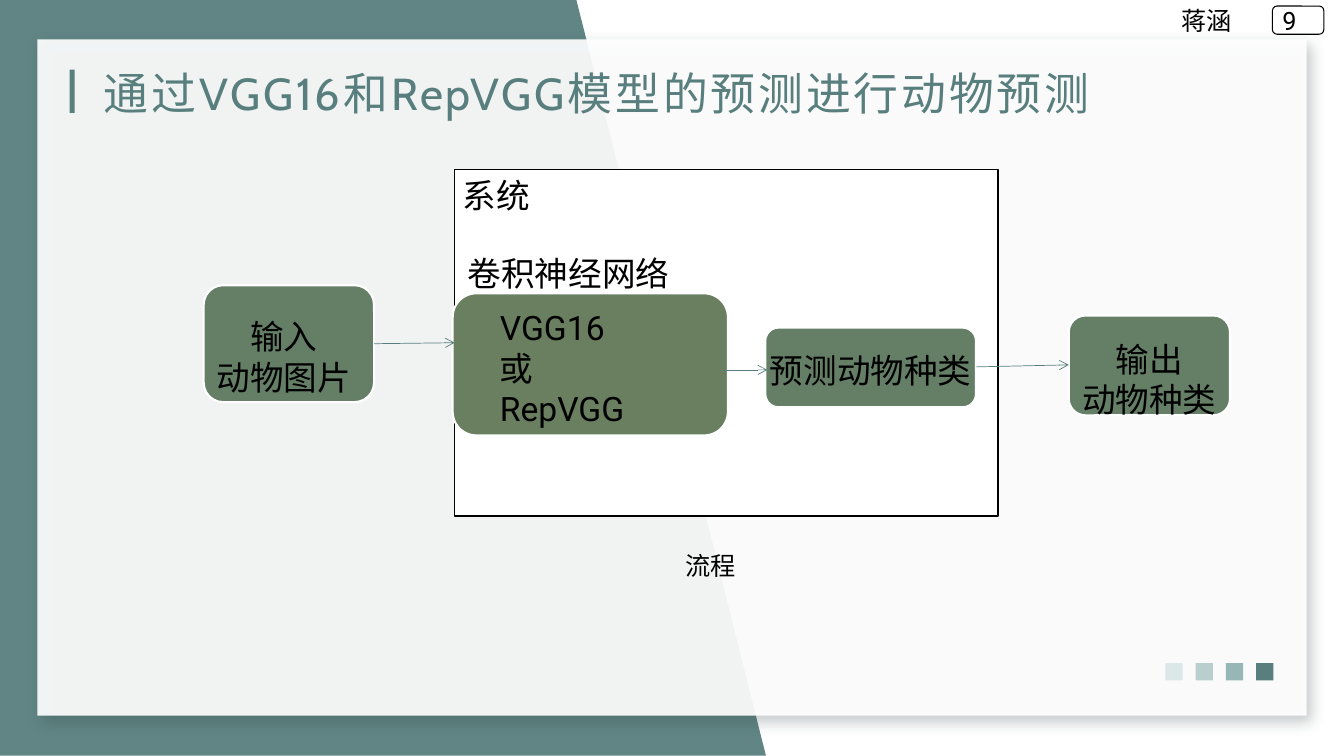
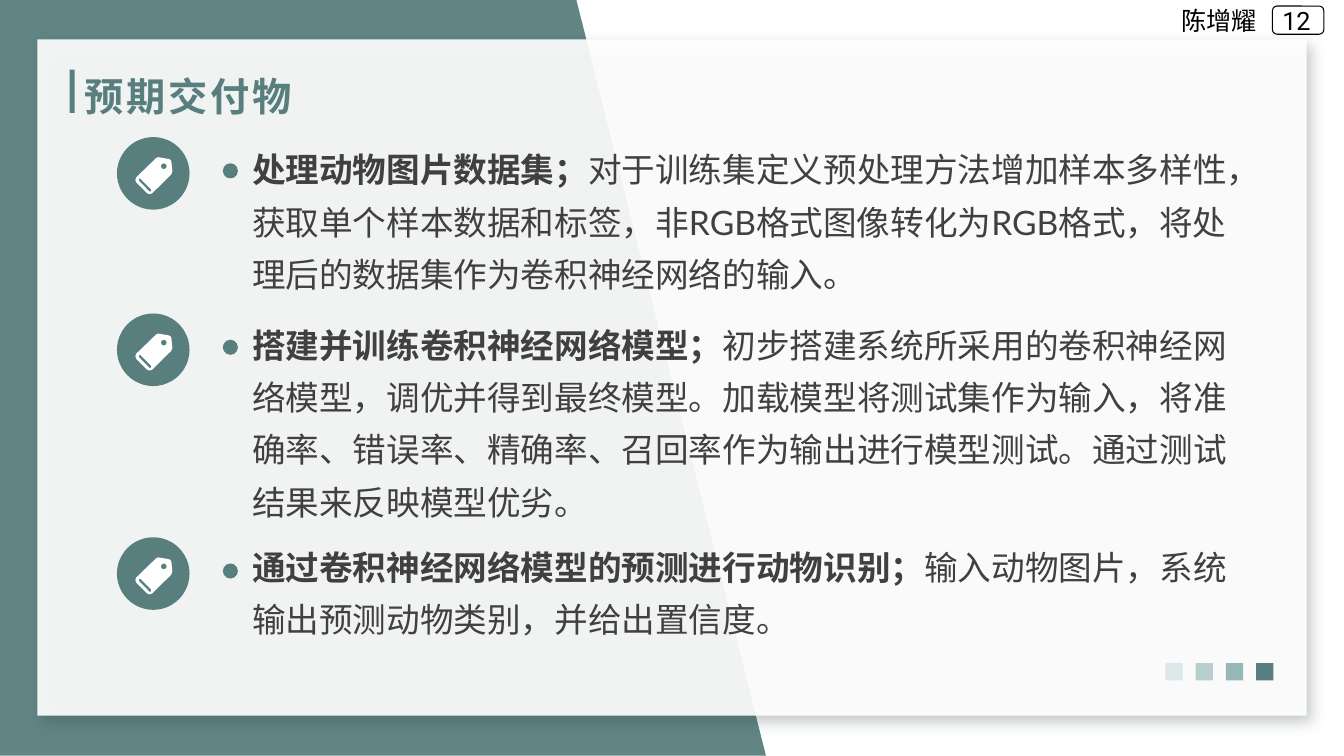
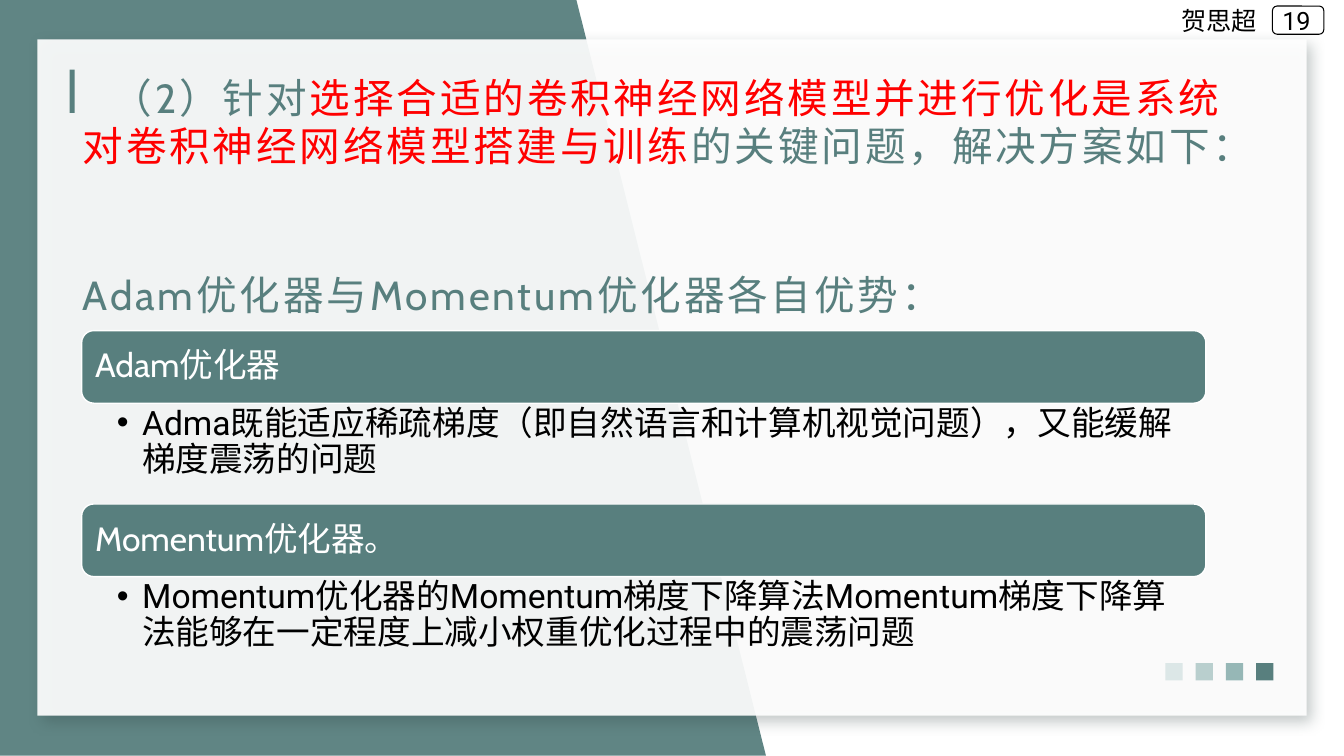
from dataclasses import dataclass, replace
from math import cos, pi, sin

from lxml.etree import SubElement
from pptx import Presentation
from pptx.dml.color import RGBColor
from pptx.enum.shapes import MSO_CONNECTOR as Connector, MSO_SHAPE as Shape
from pptx.enum.text import MSO_ANCHOR as Anchor, MSO_AUTO_SIZE as AutoSize, PP_ALIGN as Align
from pptx.oxml.ns import qn
from pptx.util import Inches, Pt

TEAL = RGBColor(0x58, 0x7F, 0x7E)
SQUARE_COLORS = [RGBColor(0xDC, 0xE7, 0xE7), RGBColor(0xB9, 0xCF, 0xCE), RGBColor(0x96, 0xB7, 0xB6), TEAL]
SAGE = RGBColor(0x65, 0x7F, 0x67)
MOSS = RGBColor(0x69, 0x7F, 0x60)
RED = RGBColor(0xFF, 0, 0)
GRAY = RGBColor(0x40, 0x40, 0x40)
BLACK = RGBColor(0, 0, 0)
WHITE = RGBColor(0xFF, 0xFF, 0xFF)


@dataclass(frozen=True)
class Style:
    font: str
    size: float
    color: RGBColor
    bold: bool = False
    spacing: float = 0


TITLE = Style("Cabin", 32, TEAL, spacing=2)
LABEL = Style("Roboto", 24, BLACK)
SMALL = replace(LABEL, size=18)
BODY = Style("Lato", 24, GRAY)
BODY_LEAD = replace(BODY, bold=True)
HEADING = Style("Cabin", 24, WHITE)

# Flow: box, fill, alignment, insets (left, top, right), lines
FLOW_NODES = [
    ((2.02, 2.83, 1.69, 1.16), SAGE, Align.CENTER, (0, 0.25, 0.1), ["输入", "动物图片"]),
    ((4.49, 2.91, 2.73, 1.41), MOSS, Align.LEFT, (0.4, 0.07, 0), ["VGG16", "或", "RepVGG"]),
    ((7.59, 3.25, 2.09, 0.79), SAGE, Align.CENTER, (0, 0.18, 0), ["预测动物种类"]),
    ((10.6, 3.13, 1.6, 0.99), SAGE, Align.CENTER, (0, 0.18, 0), ["输出", "动物种类"]),
]
FLOW_ARROWS = [(3.71, 3.41, 4.51, 3.4), (7.17, 3.67, 7.61, 3.67), (9.68, 3.64, 10.6, 3.62)]

# Deliverables: icon top, space before in points, lead, detail
DELIVERABLES = [
    (1.36, 0, "处理动物图片数据集；",
     "对于训练集定义预处理方法增加样本多样性，获取单个样本数据和标签，非RGB格式图像转化为RGB格式，"
     "将处理后的数据集作为卷积神经网络的输入。"),
    (3.11, 13, "搭建并训练卷积神经网络模型；",
     "初步搭建系统所采用的卷积神经网络模型，调优并得到最终模型。加载模型将测试集作为输入，"
     "将准确率、错误率、精确率、召回率作为输出进行模型测试。通过测试结果来反映模型优劣。"),
    (5.33, 9, "通过卷积神经网络模型的预测进行动物识别；",
     "输入动物图片，系统输出预测动物类别，并给出置信度。"),
]

OPTIMIZERS = [
    ("Adam优化器", "Adma既能适应稀疏梯度（即自然语言和计算机视觉问题），又能缓解梯度震荡的问题"),
    ("Momentum优化器。",
     "Momentum优化器的Momentum梯度下降算法Momentum梯度下降算法能够在一定程度上减小权重优化过程中的震荡问题"),
]

# Tag icon contours, in thousandths of an inch
TAG_OUTLINE = [(370, 140), (360, 40), (350, 25), (330, 17), (230, 0), (210, 8), (12, 200), (3, 225),
               (12, 250), (120, 358), (145, 367), (170, 358), (360, 170)]
TAG_SLOT = [(160, 340), (142, 340), (37, 232), (37, 214), (52, 212), (160, 320)]
TAG_HOLE = [(round(285 + 28 * cos(step * pi / 8)), round(90 + 28 * sin(step * pi / 8))) for step in range(16)]


def inches(values):
    return [Inches(value) for value in values]


def add_run(paragraph, text, style):
    run = paragraph.add_run()
    run.text = text
    font = run.font
    font.name, font.size, font.bold = style.font, Pt(style.size), style.bold
    font.color.rgb = style.color
    properties = run._r.get_or_add_rPr()
    if style.spacing:
        properties.set("spc", str(round(style.spacing * 100)))
    east_asian = SubElement(properties, qn("a:ea"), typeface=style.font)
    properties.find(qn("a:latin")).addnext(east_asian)


def write(text_frame, paragraphs, align=Align.LEFT, insets=(0.1, 0.05, 0.1, 0.05),
          anchor=Anchor.TOP, wrap=True):
    """Fill a frame with paragraphs, each a list of (text, style) runs."""
    text_frame.word_wrap = wrap
    text_frame.auto_size = AutoSize.NONE
    text_frame.vertical_anchor = anchor
    (text_frame.margin_left, text_frame.margin_top,
     text_frame.margin_right, text_frame.margin_bottom) = inches(insets)
    for index, runs in enumerate(paragraphs):
        paragraph = text_frame.add_paragraph() if index else text_frame.paragraphs[0]
        paragraph.alignment = align
        for text, style in runs:
            add_run(paragraph, text, style)
    return text_frame.paragraphs


def set_indent(paragraph, left, first, bullet=None):
    properties = paragraph._p.get_or_add_pPr()
    properties.set("marL", str(Inches(left)))
    properties.set("indent", str(Inches(first)))
    if bullet:
        SubElement(properties, qn("a:buFont"), typeface="Arial")
        SubElement(properties, qn("a:buChar"), char=bullet)
    else:
        SubElement(properties, qn("a:buNone"))


def paint(shape, fill, line=None, width=1, alpha=None):
    shape.shadow.inherit = False
    shape.fill.solid()
    shape.fill.fore_color.rgb = fill
    if alpha:
        color = shape._element.spPr.find(qn("a:solidFill"))[0]
        SubElement(color, qn("a:alpha"), val=str(alpha * 1000))
    if line is None:
        shape.line.fill.background()
    else:
        shape.line.color.rgb = line
        shape.line.width = Pt(width)
    return shape


def add_box(slide, kind, box, fill, **options):
    return paint(slide.shapes.add_shape(kind, *inches(box)), fill, **options)


def add_label(slide, box, text, style=LABEL):
    return write(slide.shapes.add_textbox(*inches(box)).text_frame, [[(text, style)]])


def place(placeholder, box):
    placeholder.left, placeholder.top, placeholder.width, placeholder.height = inches(box)
    return placeholder.text_frame


def add_polygon(slide, contours, origin=(0, 0)):
    """Build a freeform from contours in thousandths of an inch."""
    builder = slide.shapes.build_freeform(*contours[0][0], scale=Inches(0.001))
    for index, contour in enumerate(contours):
        if index:
            builder.move_to(*contour[0])
        builder.add_line_segments(contour[1:], close=True)
    return builder.convert_to_shape(*inches(origin))


def add_arrow(slide, ends):
    arrow = slide.shapes.add_connector(Connector.STRAIGHT, *inches(ends))
    arrow.line.color.rgb = TEAL
    arrow.line.width = Pt(0.5)
    SubElement(arrow.line._get_or_add_ln(), qn("a:tailEnd"), type="arrow")
    SubElement(arrow._element.spPr, qn("a:effectLst"))


def decorate_master(presentation):
    """Draw the shared decoration on a slide, then move it to the master."""
    slide, master = presentation.slides[0], presentation.slide_master
    paint(add_polygon(slide, [[(0, 0), (5720, 0), (7600, 7500), (0, 7500)]]), TEAL, alpha=95)
    panel = add_box(slide, Shape.RECTANGLE, (0.37, 0.39, 12.59, 6.71), WHITE, alpha=92)
    shadow = SubElement(panel._element.spPr.find(qn("a:effectLst")), qn("a:outerShdw"),
                        blurRad=str(Pt(10)), dist=str(Pt(6)), dir=str(45 * 60000),
                        algn="tl", rotWithShape="0")
    color = SubElement(shadow, qn("a:srgbClr"), val="2C403F")
    SubElement(color, qn("a:alpha"), val="30000")
    for index, square_color in enumerate(SQUARE_COLORS):
        add_box(slide, Shape.RECTANGLE, (11.56 + 0.3 * index, 6.58, 0.17, 0.17), square_color)
    add_box(slide, Shape.RECTANGLE, (0.69, 0.69, 0.05, 0.43), TEAL)
    add_box(slide, Shape.ROUNDED_RECTANGLE, (12.62, 0.06, 0.51, 0.28), WHITE, line=BLACK, width=0.75)

    tree = master.shapes.element
    for shape in list(slide.shapes):
        if not shape.is_placeholder:
            tree.append(shape._element)
    for number, properties in enumerate(tree.iter(qn("p:cNvPr")), 1):
        properties.set("id", str(number))


def start_slide(slide, presenter, number, box, paragraphs, anchor=Anchor.MIDDLE):
    add_label(slide, (11.62, 0, 1.27, 0.4), presenter, SMALL)
    add_label(slide, (12.62, 0, 0.51, 0.4), str(number), SMALL)
    return write(place(slide.shapes.title, box), paragraphs, anchor=anchor)


def build_flow(slide):
    start_slide(slide, "蒋涵", 9, (0.93, 0.68, 10.64, 0.48),
                [[("通过VGG16和RepVGG模型的预测进行动物预测", TITLE)]])
    system = add_box(slide, Shape.RECTANGLE, (4.51, 1.68, 5.39, 3.44), WHITE, line=BLACK)
    write(system.text_frame, [[("系统", LABEL)]], insets=(0.08, 0.06, 0.1, 0.05))
    for box, fill, align, insets, lines in FLOW_NODES:
        node = add_box(slide, Shape.ROUNDED_RECTANGLE, box, fill, line=WHITE, width=1.5)
        write(node.text_frame, [[(line, LABEL)] for line in lines], align,
              (*insets, 0), wrap=align == Align.LEFT)
    add_label(slide, (4.54, 2.46, 2.24, 0.5), "卷积神经网络")
    for ends in FLOW_ARROWS:
        add_arrow(slide, ends)
    add_label(slide, (6.7, 5.41, 1.68, 0.4), "流程", SMALL)


def build_deliverables(slide):
    start_slide(slide, "陈增耀", 12, (0.74, 0.71, 5.26, 0.48),
                [[("预期交付物", replace(TITLE, size=28, bold=True))]])
    body = place(slide.placeholders[1], (2.5, 1.36, 9.83, 5.02))
    paragraphs = write(body, [[(lead, BODY_LEAD), (detail, BODY)] for _, _, lead, detail in DELIVERABLES],
                       insets=(0, 0, 0, 0))
    for paragraph, (top, space, _, _) in zip(paragraphs, DELIVERABLES):
        set_indent(paragraph, 0, 0)
        paragraph.line_spacing = 1.3
        paragraph.space_before = Pt(space)
        add_box(slide, Shape.OVAL, (1.16, top, 0.72, 0.72), TEAL)
        paint(add_polygon(slide, [TAG_OUTLINE, TAG_SLOT, TAG_HOLE], (1.34, top + 0.2)), WHITE)
        add_box(slide, Shape.OVAL, (2.21, top + 0.26, 0.15, 0.15), TEAL)


def build_optimizers(slide):
    style = replace(TITLE, size=29)
    question, advantages = start_slide(slide, "贺思超", 19, (0.72, 0.67, 11.78, 2.55), [
        [("（2）针对", style),
         ("选择合适的卷积神经网络模型并进行优化是系统对卷积神经网络模型搭建与训练", replace(style, color=RED)),
         ("的关键问题，解决方案如下：", style)],
        [("Adam优化器与Momentum优化器各自优势：", style)],
    ], Anchor.TOP)
    set_indent(question, 0, 0.29)
    advantages.space_before = Pt(71)
    for index, (name, detail) in enumerate(OPTIMIZERS):
        top = 3.28 + 1.72 * index
        bar = add_box(slide, Shape.ROUNDED_RECTANGLE, (0.81, top, 11.15, 0.72), TEAL, line=WHITE)
        heading, = write(bar.text_frame, [[(name, HEADING)]], anchor=Anchor.MIDDLE)
        text_box = slide.shapes.add_textbox(*inches((0.81, top + 0.72, 11.15, 1)))
        point, = write(text_box.text_frame, [[(detail, LABEL)]], insets=(0.35, 0.03, 0.19, 0.03))
        set_indent(point, 0.25, -0.25, "•")
        heading.line_spacing = point.line_spacing = 0.9


def main():
    presentation = Presentation()
    presentation.slide_width, presentation.slide_height = inches((13.33, 7.5))
    title_and_content, title_only = presentation.slide_layouts[1], presentation.slide_layouts[5]
    builders = [(build_flow, title_only), (build_deliverables, title_and_content),
                (build_optimizers, title_only)]
    slides = [presentation.slides.add_slide(layout) for _, layout in builders]
    decorate_master(presentation)
    for slide, (build, _) in zip(slides, builders):
        build(slide)
    presentation.save("out.pptx")


if __name__ == "__main__":
    main()
